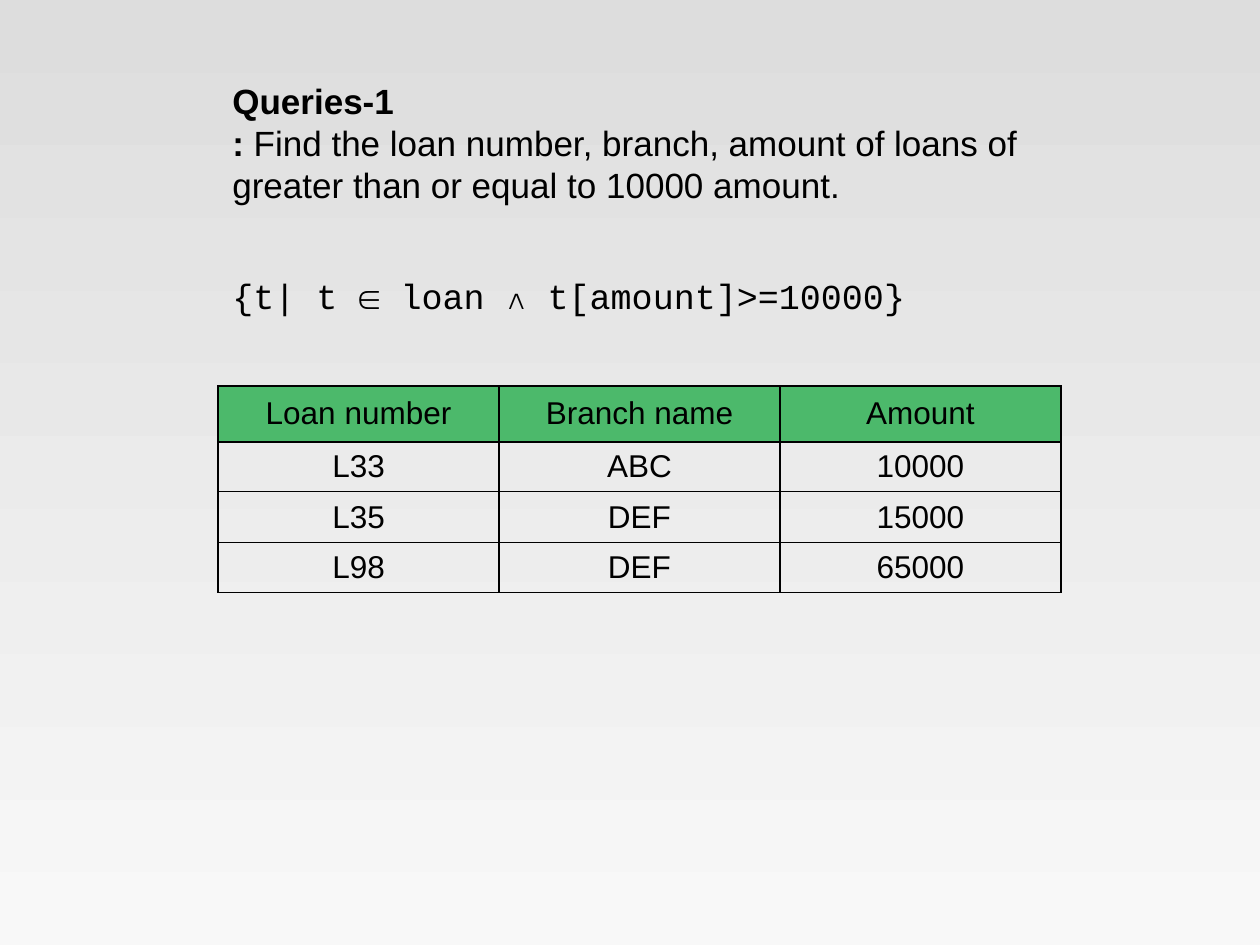
import pptx
import pptx.dml.color
import pptx.enum.text
import pptx.oxml
import pptx.oxml.ns
import pptx.util

PX = 914400 / 126
ANCHOR = pptx.enum.text.MSO_ANCHOR
BODY = {"name": "Arial", "size": pptx.util.Pt(20), "bold": False}
BOLD = {**BODY, "bold": True}
CODE = {**BODY, "name": "Courier New"}
CELL = {**BODY, "size": pptx.util.Pt(18)}


def px(length):
    return pptx.util.Emu(round(length * PX))


def rgb(value):
    return pptx.dml.color.RGBColor.from_string(value)


class SlideBuilder:
    """Holds the colours and the slide that elements are added to."""

    ink = "000000"
    header_fill = "4CB96B"
    backdrop = ("DDDDDD", "F8F8F8")

    def __init__(self, slide):
        self.slide = slide

    def background(self):
        fill = self.slide.background.fill
        fill.gradient()
        fill.gradient_angle = 270
        for stop, colour in zip(fill.gradient_stops, self.backdrop):
            stop.color.rgb = rgb(colour)

    def run(self, paragraph, text, style):
        run = paragraph.add_run()
        run.text = text
        for name, value in style.items():
            setattr(run.font, name, value)
        run.font.color.rgb = rgb(self.ink)

    def text(self, left, top, width, height, paragraphs, anchor=ANCHOR.TOP):
        """Each paragraph is a list of (text, style) runs."""
        box = self.slide.shapes.add_textbox(*map(px, (left, top, width, height)))
        frame = box.text_frame
        frame.word_wrap = True
        frame.auto_size = pptx.enum.text.MSO_AUTO_SIZE.SHAPE_TO_FIT_TEXT
        frame.vertical_anchor = anchor
        for index, runs in enumerate(paragraphs):
            paragraph = frame.add_paragraph() if index else frame.paragraphs[0]
            for text, style in runs:
                self.run(paragraph, text, style)

    def borders(self, cell):
        properties = cell._tc.get_or_add_tcPr()
        for index, side in enumerate(("lnL", "lnR", "lnT", "lnB")):
            properties.insert(index, pptx.oxml.parse_xml(
                f'<a:{side} {pptx.oxml.ns.nsdecls("a")} w="12700"><a:solidFill>'
                f'<a:srgbClr val="{self.ink}"/></a:solidFill></a:{side}>'))

    def cell(self, cell, text, is_header):
        side, end = (9, 9) if is_header else (13, 6)
        layout = {
            "margin_left": px(side), "margin_right": px(side),
            "margin_top": px(end), "margin_bottom": px(end),
            "vertical_anchor": ANCHOR.MIDDLE,
        }
        for name, value in layout.items():
            setattr(cell, name, value)
        if is_header:
            cell.fill.solid()
            cell.fill.fore_color.rgb = rgb(self.header_fill)
        else:
            cell.fill.background()
        paragraph = cell.text_frame.paragraphs[0]
        paragraph.alignment = pptx.enum.text.PP_ALIGN.CENTER
        self.run(paragraph, text, CELL)
        self.borders(cell)

    def table(self, left, top, column_width, row_heights, rows):
        columns = len(rows[0])
        table = self.slide.shapes.add_table(
            len(rows), columns, px(left), px(top),
            px(column_width * columns), px(sum(row_heights))).table
        table.first_row = table.horz_banding = False
        for column in table.columns:
            column.width = px(column_width)
        for r, (height, values) in enumerate(zip(row_heights, rows)):
            table.rows[r].height = px(height)
            for c, value in enumerate(values):
                self.cell(table.cell(r, c), value, r == 0)


def main():
    deck = pptx.Presentation()
    deck.slide_width, deck.slide_height = px(1260), px(945)
    builder = SlideBuilder(deck.slides.add_slide(deck.slide_layouts[6]))
    builder.background()

    builder.text(220, 73, 872, 140, [
        [("Queries-1", BOLD)],
        [(":", BOLD), (" Find the loan number, branch, amount of loans of "
                       "greater than or equal to 10000 amount.", BODY)],
    ])
    builder.text(220, 268, 714, 55,
                 [[("{t| t ∈ loan ∧ t[amount]>=10000}", CODE)]], ANCHOR.MIDDLE)

    loans = [
        ("Loan number", "Branch name", "Amount"),
        ("L33", "ABC", "10000"),
        ("L35", "DEF", "15000"),
        ("L98", "DEF", "65000"),
    ]
    builder.table(218, 386, 281, [54, 50, 51, 50], loans)
    deck.save("out.pptx")


if __name__ == "__main__":
    main()
